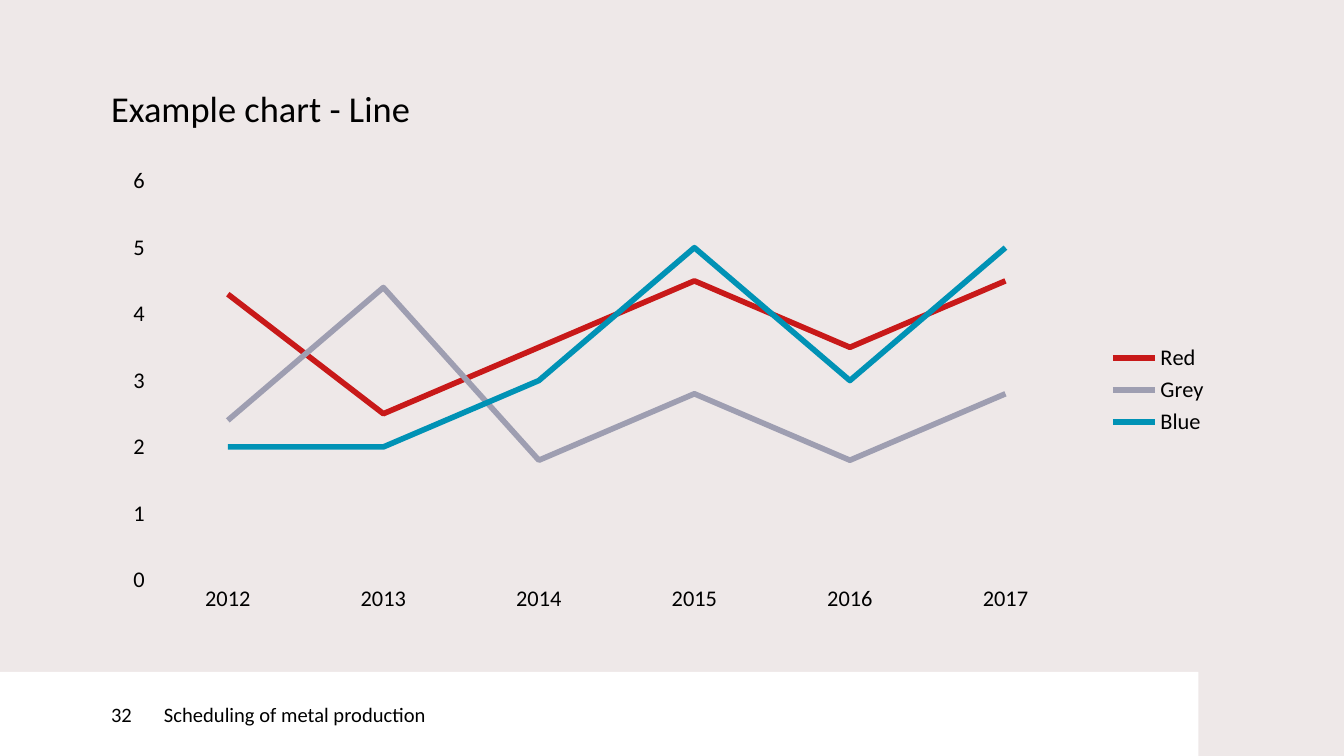
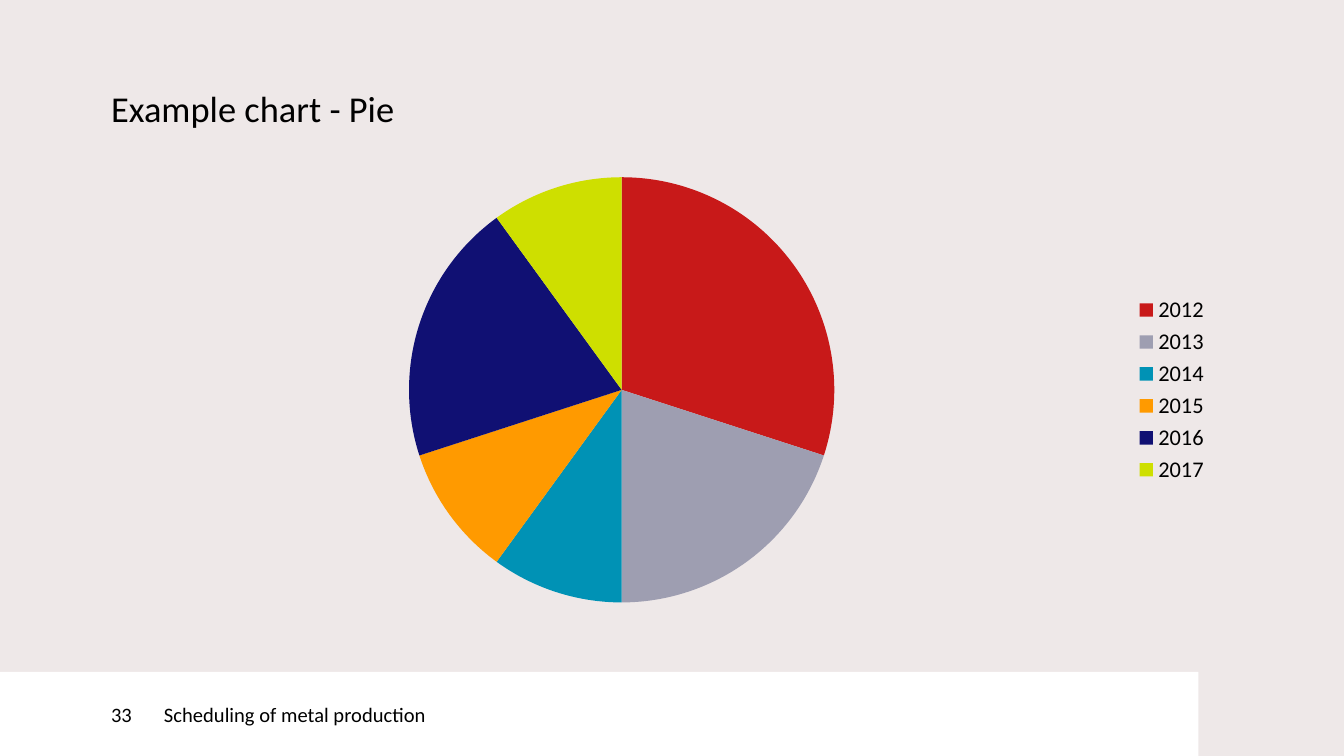
"""Build two example chart slides, a line chart and a pie chart."""
from pptx import Presentation
from pptx.chart.data import CategoryChartData
from pptx.dml.color import RGBColor
from pptx.enum.chart import XL_CHART_TYPE, XL_LEGEND_POSITION, XL_MARKER_STYLE, XL_TICK_MARK
from pptx.enum.shapes import MSO_SHAPE
from pptx.enum.text import MSO_ANCHOR, PP_ALIGN
from pptx.util import Cm, Pt

LINE, PIE = XL_CHART_TYPE.LINE, XL_CHART_TYPE.PIE
RIGHT = XL_LEGEND_POSITION.RIGHT
NO_MARKER = XL_MARKER_STYLE.NONE
NO_TICK = XL_TICK_MARK.NONE
RECTANGLE = MSO_SHAPE.RECTANGLE
TOP, MIDDLE = MSO_ANCHOR.TOP, MSO_ANCHOR.MIDDLE
LEFT = PP_ALIGN.LEFT

FONT = "Calibri"
BACKGROUND, WHITE, BLACK = "EEE8E8", "FFFFFF", "000000"
PALETTE = ["C81919", "9E9EB1", "0092B5", "FF9A00", "101073", "CEDF00"]
MARGIN, CONTENT_WIDTH = 2.1, 21
FOOTER_TOP, FOOTER_HEIGHT = 12.7, 1.59
NUMBER_WIDTH, FOOTER_WIDTH = 3.1, 19.55
FOOTER_TEXT = "Scheduling of metal production"
YEARS = ["2012", "2013", "2014", "2015", "2016", "2017"]
SLIDES = [
    ("Example chart - Line", 32, LINE, {
        "Red": [4.3, 2.5, 3.5, 4.5, 3.5, 4.5],
        "Grey": [2.4, 4.4, 1.8, 2.8, 1.8, 2.8],
        "Blue": [2, 2, 3, 5, 3, 5],
    }),
    ("Example chart - Pie", 33, PIE, {"Series 1": [30, 20, 10, 10, 20, 10]}),
]


def color(value):
    return RGBColor.from_string(value)


def write(box, text, size, anchor, indent=0, wrap=True):
    frame = box.text_frame
    settings = {
        "margin_left": Cm(indent), "margin_top": 0, "margin_right": 0,
        "margin_bottom": 0, "vertical_anchor": anchor, "word_wrap": wrap,
    }
    for name, value in settings.items():
        setattr(frame, name, value)
    para = frame.paragraphs[0]
    para.alignment = LEFT
    span = para.add_run()
    span.text = text
    span.font.name = FONT
    span.font.size = Pt(size)
    span.font.color.rgb = color(BLACK)


deck = Presentation()
deck.slide_width, deck.slide_height = Cm(25.4), Cm(14.29)

for title, number, kind, series_values in SLIDES:
    page = deck.slides.add_slide(deck.slide_layouts[6])
    page.background.fill.solid()
    page.background.fill.fore_color.rgb = color(BACKGROUND)

    title_box = page.shapes.add_textbox(Cm(MARGIN), Cm(1.63), Cm(CONTENT_WIDTH), Cm(1.42))
    write(title_box, title, 19.5, TOP, wrap=False)

    for left, width, text, indent in [
        (NUMBER_WIDTH, FOOTER_WIDTH, FOOTER_TEXT, 0),
        (0, NUMBER_WIDTH, str(number), MARGIN),
    ]:
        band = page.shapes.add_shape(
            RECTANGLE, Cm(left), Cm(FOOTER_TOP), Cm(width), Cm(FOOTER_HEIGHT))
        band.shadow.inherit = False
        band.fill.solid()
        band.fill.fore_color.rgb = color(WHITE)
        band.line.fill.background()
        write(band, text, 11, MIDDLE, indent)

    data = CategoryChartData()
    data.categories = YEARS
    for name, values in series_values.items():
        data.add_series(name, values)
    chart = page.shapes.add_chart(
        kind, Cm(MARGIN), Cm(3), Cm(CONTENT_WIDTH), Cm(8.74), data).chart
    chart.has_title = False
    chart.has_legend = True
    chart.legend.position = RIGHT
    chart.legend.include_in_layout = False
    fonts = [(chart.font, 10), (chart.legend.font, 12)]
    plot = chart.plots[0]

    if kind == LINE:
        plot.vary_by_categories = False
        for series, shade in zip(plot.series, PALETTE):
            series.smooth = False
            series.marker.style = NO_MARKER
            series.format.line.width = Pt(3)
            series.format.line.color.rgb = color(shade)
        for axis in (chart.category_axis, chart.value_axis):
            axis.has_major_gridlines = False
            axis.major_tick_mark = NO_TICK
            axis.minor_tick_mark = NO_TICK
            axis.format.line.fill.background()
            fonts.append((axis.tick_labels.font, 12))
        scale = {"minimum_scale": 0, "maximum_scale": 6, "major_unit": 1}
        for name, value in scale.items():
            setattr(chart.value_axis, name, value)
    else:
        plot.vary_by_categories = True
        for index, shade in enumerate(PALETTE):
            fill = plot.series[0].points[index].format.fill
            fill.solid()
            fill.fore_color.rgb = color(shade)

    for font, size in fonts:
        font.name = FONT
        font.size = Pt(size)
        font.color.rgb = color(BLACK)

deck.save("out.pptx")
